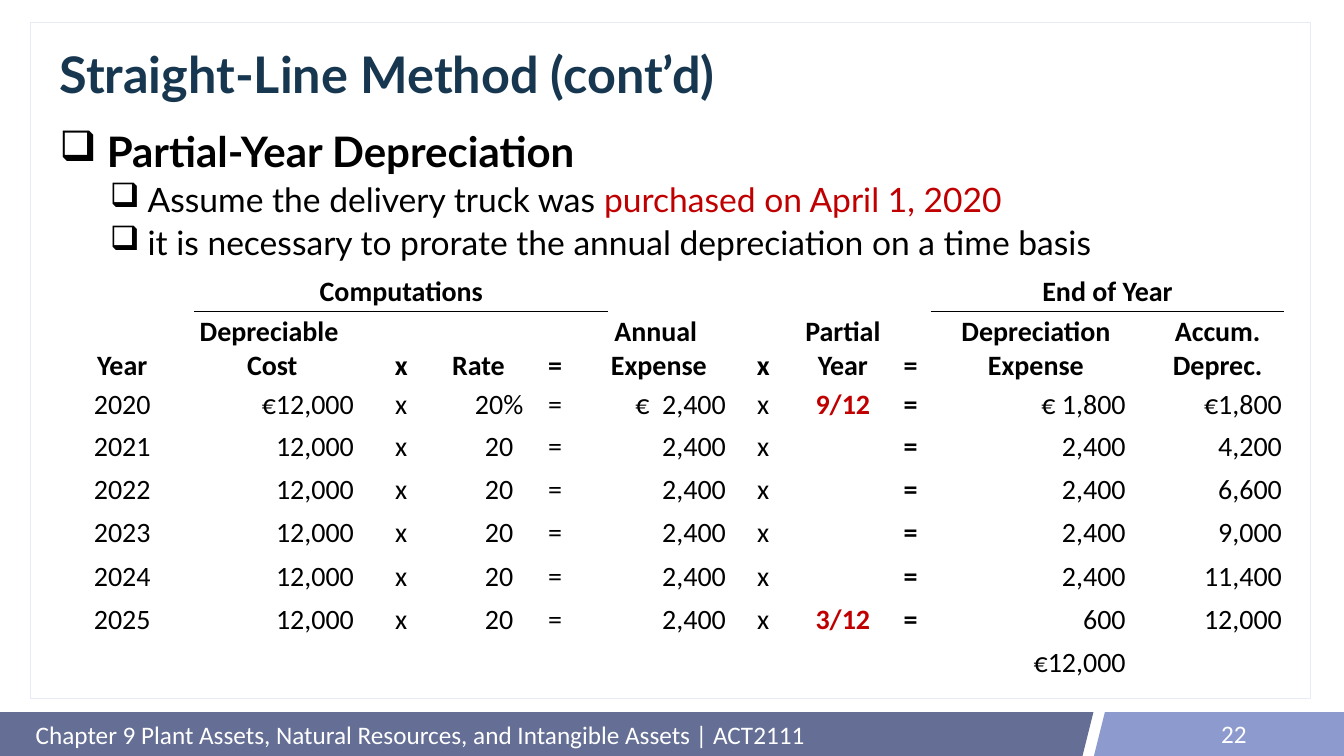
from dataclasses import dataclass

from lxml.etree import SubElement
from pptx import Presentation
from pptx.dml.color import RGBColor
from pptx.enum.shapes import MSO_SHAPE as Preset
from pptx.enum.text import MSO_ANCHOR as Anchor, MSO_AUTO_SIZE as AutoSize, PP_ALIGN as Align
from pptx.oxml import parse_xml
from pptx.oxml.ns import nsdecls, qn
from pptx.util import Inches, Pt


@dataclass(frozen=True)
class Theme:
    heading_font: str = "Lato"
    table_font: str = "Calibri"
    title_size: int = 72
    topic_size: int = 60
    point_size: int = 48
    table_size: int = 40
    footer_size: int = 36
    title: str = "17364F"
    text: str = "000000"
    accent: str = "C00000"
    white: str = "FFFFFF"
    panel_line: str = "E8EBF5"
    footer_dark: str = "656E95"
    footer_light: str = "8D9ACE"


@dataclass(frozen=True)
class Column:
    header: str
    width: float
    header_inset: float = 0.01
    align: Align = Align.CENTER
    right_inset: float = 0.01
    bold: bool = False
    color: str = "000000"


THEME = Theme()
NO_TABLE_STYLE = "{2D5ABB26-0587-4C30-8999-92F81FD0307C}"

COLUMNS = [
    Column("Year", 1.91, 0.1),
    Column("Depreciable \nCost", 4.04, 0.05, Align.RIGHT, 0.4),
    Column("x", 1.08),
    Column("Rate", 1.98, 0.1, Align.RIGHT, 0.3),
    Column("=", 1.06, 0.1),
    Column("Annual \nExpense", 3.06, 0.1, Align.RIGHT, 0.2),
    Column("x", 1.08),
    Column("Partial\nYear", 2.08, bold=True, color=THEME.accent),
    Column("=", 0.61, bold=True),
    Column("Depreciation Expense", 4.36, 0.05, Align.RIGHT, 0.4),
    Column("Accum.\nDeprec.", 2.85, 0.1, Align.RIGHT, 0.15),
]

YEARS = [
    ("2020", "€12,000", "20%", "€  2,400", "9/12", "€ 1,800", "€1,800"),
    ("2021", "12,000", "20", "2,400", "", "2,400", "4,200"),
    ("2022", "12,000", "20", "2,400", "", "2,400", "6,600"),
    ("2023", "12,000", "20", "2,400", "", "2,400", "9,000"),
    ("2024", "12,000", "20", "2,400", "", "2,400", "11,400"),
    ("2025", "12,000", "20", "2,400", "3/12", "600", "12,000"),
]


def inches(*values):
    return [Inches(value) for value in values]


def style_font(font, name, size, color, bold=False):
    font.name = name
    font.size = Pt(size)
    font.bold = bold
    font.color.rgb = RGBColor.from_string(color)


def add_block(slide, preset, box, fill, line=None):
    shape = slide.shapes.add_shape(preset, *inches(*box))
    shape.shadow.inherit = False
    shape.fill.solid()
    shape.fill.fore_color.rgb = RGBColor.from_string(fill)
    if line:
        shape.line.color.rgb = RGBColor.from_string(line)
        shape.line.width = Pt(1)
    else:
        shape.line.fill.background()
    return shape


def add_backdrop(slide):
    top, height = 14.13, 0.87
    add_block(slide, Preset.RECTANGLE, (0, top, 19.95, height), THEME.footer_dark)
    add_block(slide, Preset.PARALLELOGRAM, (17.39, top, 4.3, height), THEME.footer_dark)
    add_block(slide, Preset.PARALLELOGRAM, (21.7, top, 4.3, height), THEME.footer_light)
    add_block(slide, Preset.RECTANGLE, (22.37, top, 4.29, height), THEME.footer_light)
    panel = add_block(slide, Preset.RECTANGLE, (0.61, 0.44, 25.39, 13.41),
                      THEME.white, THEME.panel_line)
    color = panel.fill._xPr.find(qn("a:solidFill"))[0]
    SubElement(color, qn("a:alpha"), val="85000")


def place_title(slide, text):
    title = slide.shapes.title
    title.element.getparent().append(title.element)
    title.left, title.top, title.width, title.height = inches(1.08, 0.8, 24.39, 1.45)
    frame = title.text_frame
    frame.text = text
    frame.auto_size = AutoSize.NONE
    frame.vertical_anchor = Anchor.MIDDLE
    paragraph = frame.paragraphs[0]
    paragraph.alignment = Align.LEFT
    paragraph.line_spacing = 0.9
    style_font(paragraph.runs[0].font, THEME.heading_font, THEME.title_size, THEME.title, True)


def add_text_box(slide, box):
    frame = slide.shapes.add_textbox(*inches(*box)).text_frame
    frame.word_wrap = True
    return frame


def format_bullet(paragraph, level, margin, hanging):
    paragraph.level = level
    paragraph.line_spacing = 0.9
    properties = paragraph._p.get_or_add_pPr()
    properties.set("marL", str(Inches(margin)))
    properties.set("indent", str(-Inches(hanging)))
    SubElement(properties, qn("a:buChar"), char="❑")


def add_outline(slide):
    frame = add_text_box(slide, (1.08, 2.55, 24.39, 2.7))
    topic = frame.paragraphs[0]
    topic.text = "Partial-Year Depreciation"
    format_bullet(topic, 0, 0.94, 0.94)
    style_font(topic.runs[0].font, THEME.heading_font, THEME.topic_size, THEME.text, True)
    points = [
        [("Assume the delivery truck was ", THEME.text),
         ("purchased on April 1, 2020", THEME.accent)],
        [("it is necessary to prorate the annual depreciation on a time basis", THEME.text)],
    ]
    for parts in points:
        paragraph = frame.add_paragraph()
        format_bullet(paragraph, 1, 1.75, 0.75)
        paragraph.space_before = Pt(10)
        for text, color in parts:
            run = paragraph.add_run()
            run.text = text
            style_font(run.font, THEME.heading_font, THEME.point_size, color)


def add_plain_table(slide, left, top, widths, heights):
    frame = slide.shapes.add_table(len(heights), len(widths),
                                   *inches(left, top, sum(widths), sum(heights)))
    table = frame.table
    table.first_row = table.horz_banding = False
    table._tbl.tblPr.find(qn("a:tableStyleId")).text = NO_TABLE_STYLE
    for column, width in zip(table.columns, widths):
        column.width = Inches(width)
    for row, height in zip(table.rows, heights):
        row.height = Inches(height)
    for cell in table.iter_cells():
        cell.fill.background()
    return table


def fill_cell(cell, text, align=Align.CENTER, insets=(0.1, 0.05, 0.1, 0.05),
              anchor=Anchor.TOP, bold=True, color=THEME.text):
    cell.margin_left, cell.margin_top, cell.margin_right, cell.margin_bottom = inches(*insets)
    cell.vertical_anchor = anchor
    cell.text_frame.text = text
    for paragraph in cell.text_frame.paragraphs:
        paragraph.alignment = align
        for run in paragraph.runs:
            style_font(run.font, THEME.table_font, THEME.table_size, color, bold)


def underline_cell(cell):
    border = parse_xml(
        f'<a:lnB {nsdecls("a")} w="{Pt(1.5)}"><a:solidFill>'
        f'<a:srgbClr val="{THEME.text}"/></a:solidFill></a:lnB>')
    cell._tc.get_or_add_tcPr().insert(0, border)


def add_group_headings(slide):
    table = add_plain_table(slide, 1.47, 5.26, [2.38, 8.22, 1.11, 5.28, 7.02], [0.92])
    for index, text in ((1, "Computations"), (4, "End of Year")):
        cell = table.cell(0, index)
        fill_cell(cell, text, anchor=Anchor.BOTTOM)
        underline_cell(cell)


def add_schedule(slide):
    rows = [(year, cost, "x", rate, "=", annual, "x", part, "=", expense, total)
            for year, cost, rate, annual, part, expense, total in YEARS]
    rows.append(("",) * 9 + ("€12,000", ""))
    table = add_plain_table(slide, 1.47, 6.02, [column.width for column in COLUMNS],
                            [1.63] + [0.86] * len(rows))
    for index, column in enumerate(COLUMNS):
        side = column.header_inset
        fill_cell(table.cell(0, index), column.header,
                  insets=(side, 0.05, side, 0.05), anchor=Anchor.BOTTOM)
        for number, row in enumerate(rows, 1):
            text = row[index]
            top = 0.05 if number == 1 else 0.01
            right = 0.1 if text.endswith("%") else column.right_inset
            fill_cell(table.cell(number, index), text, column.align,
                      (0.01, top, right, 0.01), bold=column.bold, color=column.color)


def add_footer_text(slide, box, text, align):
    frame = add_text_box(slide, box)
    frame.text = text
    frame.vertical_anchor = Anchor.MIDDLE
    paragraph = frame.paragraphs[0]
    paragraph.alignment = align
    style_font(paragraph.runs[0].font, THEME.table_font, THEME.footer_size, THEME.white)


def main():
    presentation = Presentation()
    presentation.slide_width, presentation.slide_height = inches(26.66, 15)
    slide = presentation.slides.add_slide(presentation.slide_layouts.get_by_name("Title Only"))
    add_backdrop(slide)
    place_title(slide, "Straight-Line Method (cont’d)")
    add_outline(slide)
    add_group_headings(slide)
    add_schedule(slide)
    add_footer_text(slide, (0.61, 14.15, 20.6, 0.85),
                    "Chapter 9 Plant Assets, Natural Resources, and Intangible Assets | ACT2111",
                    Align.LEFT)
    add_footer_text(slide, (18.83, 14.15, 6, 0.8), "22", Align.RIGHT)
    presentation.save("out.pptx")


if __name__ == "__main__":
    main()
